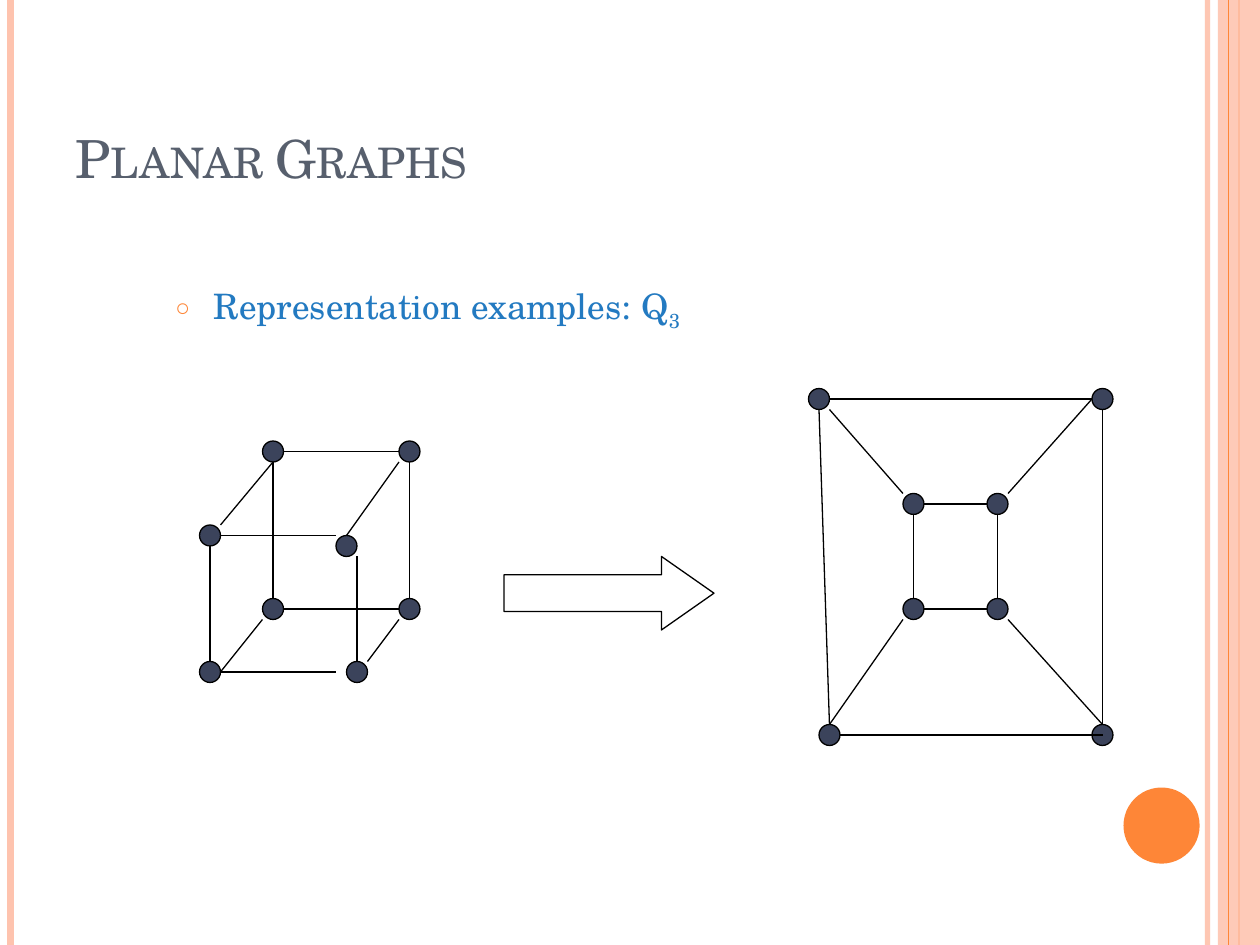
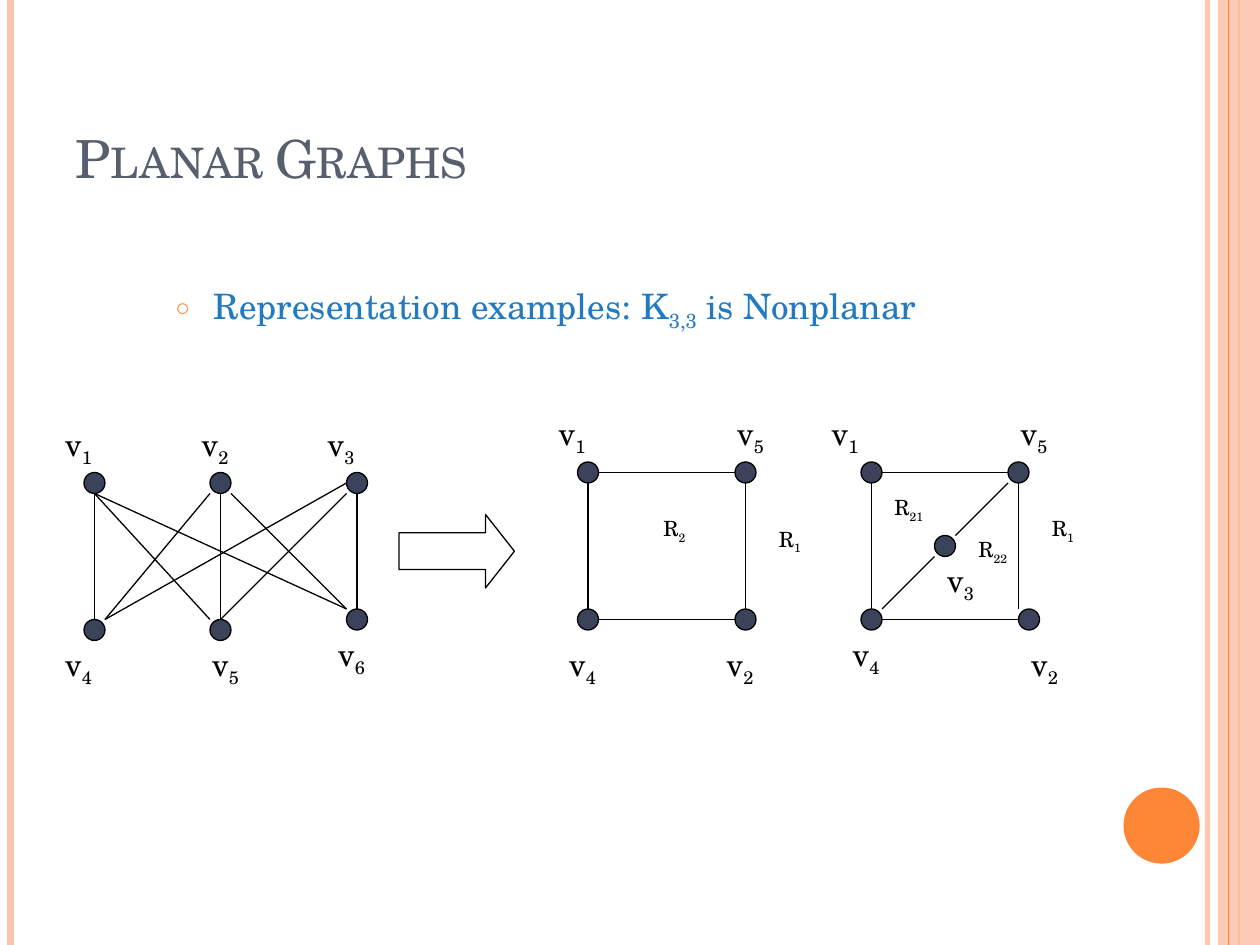
from dataclasses import dataclass

from lxml import etree
from pptx import Presentation
from pptx.dml.color import RGBColor
from pptx.enum.shapes import MSO_CONNECTOR, MSO_SHAPE
from pptx.enum.text import MSO_ANCHOR, MSO_AUTO_SIZE, PP_ALIGN
from pptx.oxml.ns import qn
from pptx.util import Emu, Pt

STRAIGHT = MSO_CONNECTOR.STRAIGHT
RECTANGLE, OVAL, ARROW = MSO_SHAPE.RECTANGLE, MSO_SHAPE.OVAL, MSO_SHAPE.RIGHT_ARROW
BOTTOM, MIDDLE, TOP = MSO_ANCHOR.BOTTOM, MSO_ANCHOR.MIDDLE, MSO_ANCHOR.TOP
LEFT, NO_FIT = PP_ALIGN.LEFT, MSO_AUTO_SIZE.NONE
EMU_PER_PX = 9525
PAGE_WIDTH, PAGE_HEIGHT = 960, 720
NODE = 16
LABEL_WIDTH, LABEL_HEIGHT = 32, 24
STEPS = {"n": (0, -1), "s": (0, 1), "w": (-1, 0), "e": (1, 0), "c": (0, 0)}


@dataclass(frozen=True)
class Theme:
    """Colours, font and type sizes of the deck."""
    font: str = "TeX Gyre Schola"
    title: str = "575F6D"
    body: str = "237AC1"
    accent: str = "FE8637"
    band: str = "FEC3AE"
    node: str = "3B435B"
    ink: str = "000000"
    paper: str = "FFFFFF"
    title_size: int = 30
    body_size: int = 20
    vertex_size: int = 18
    region_size: int = 12
    thin: float = 0.75


THEME = Theme()

CUBE = {
    "nodes": {"A": (48, 0), "B": (152, 0), "C": (0, 64), "D": (104, 72),
              "E": (48, 120), "F": (152, 120), "G": (0, 168), "H": (112, 168)},
    "edges": ["A e B w", "E e F w", "A s E n", "B s F n", "C e D nw", "G e H ww",
              "C s G n", "D se H n", "C ne A s", "D n B sw", "G e E sw", "H ne F sw"],
}
FLAT_CUBE = {
    "nodes": {"A": (0, 0), "B": (216, 0), "C": (72, 80), "D": (136, 80),
              "E": (72, 160), "F": (136, 160), "G": (8, 256), "H": (216, 256)},
    "edges": ["A se C nw", "D ne B w", "F se H n", "G n E sw", "C e D w", "E e F w",
              "C s E n", "D s F n", "A e B w", "A s G n", "G e H c", "B s H n"],
}
BIPARTITE = {
    "nodes": {"v1": (0, 0), "v2": (96, 0), "v3": (200, 0),
              "v4": (0, 112), "v5": (96, 112), "v6": (200, 104)},
    "edges": ["v1 s v4 n", "v1 s v5 nw", "v1 s v6 nw", "v2 sw v4 ne", "v2 s v5 n",
              "v2 se v6 nw", "v3 w v4 ne", "v3 sw v5 n", "v3 s v6 n"],
    "labels": [("v|1", -24, -32), ("v|2", 80, -32), ("v|3", 176, -32),
               ("v|4", -24, 136), ("v|5", 88, 136), ("v|6", 184, 128)],
}
SQUARE = {
    "nodes": {"v1": (0, 0), "v5": (120, 0), "v4": (0, 112), "v2": (120, 112)},
    "edges": ["v1 e v5 w", "v4 e v2 w", "v1 s v4 n", "v5 s v2 n"],
    "labels": [("v|1", -24, -32), ("v|5", 112, -32), ("v|4", -16, 144),
               ("v|2", 104, 144), ("R|1", 144, 48), ("R|2", 56, 40)],
}
SPLIT_SQUARE = {
    "nodes": {"v1": (0, 0), "v5": (112, 0), "v4": (0, 112), "v2": (120, 112),
              "v3": (56, 56)},
    "edges": ["v1 e v5 w", "v4 e v2 w", "v1 s v4 n", "v5 s v2 nw",
              "v4 ne v3 sw", "v3 ne v5 sw"],
    "labels": [("v|1", -32, -32), ("v|5", 112, -32), ("v|4", -16, 136),
               ("v|2", 120, 144), ("v|3", 56, 80), ("R|21", 16, 24),
               ("R|22", 80, 56), ("R|1", 136, 40)],
}


def px(*lengths):
    """Turn px lengths into EMU."""
    return [Emu(length * EMU_PER_PX) for length in lengths]


def apply(target, values):
    """Set each named attribute on the target."""
    for name, value in values.items():
        setattr(target, name, value)


def set_alpha(shape, percent):
    """Make the first colour of a shape or line partly transparent."""
    colour = next(shape.element.spPr.iter(qn("a:srgbClr")))
    etree.SubElement(colour, qn("a:alpha"), val=str(percent * 1000))


def add_line(page, start, end, colour=THEME.ink, width=THEME.thin):
    """Draw a straight line without shadow."""
    line = page.shapes.add_connector(STRAIGHT, *px(*start, *end))
    line.line.color.rgb = RGBColor.from_string(colour)
    line.line.width = Pt(width)
    etree.SubElement(line.element.spPr, qn("a:effectLst"))
    return line


def add_figure(page, kind, box, fill, outline=None):
    """Draw a flat preset shape."""
    shape = page.shapes.add_shape(kind, *px(*box))
    shape.shadow.inherit = False
    shape.fill.solid()
    shape.fill.fore_color.rgb = RGBColor.from_string(fill)
    if outline:
        shape.line.color.rgb = RGBColor.from_string(outline)
        shape.line.width = Pt(THEME.thin)
    else:
        shape.line.fill.background()
    return shape


def write(shape, text, size, colour, **frame_values):
    """Write text in which every second part between bars is a subscript."""
    frame = shape.text_frame
    apply(frame, frame_values)
    para = frame.paragraphs[0]
    para.alignment = LEFT
    for index, part in enumerate(text.split("|")):
        span = para.add_run()
        span.text = part
        apply(span.font, {"name": THEME.font, "size": Pt(size), "bold": False})
        span.font.color.rgb = RGBColor.from_string(colour)
        if index % 2:
            span.font._element.set("baseline", "-25000")
    return para


def place(shape, box):
    """Move a placeholder to the given box."""
    apply(shape, dict(zip(("left", "top", "width", "height"), px(*box))))


def add_bands(page, layout):
    """Draw the side bands and the disc and hand them to the layout."""
    def stripe(x, colour, width):
        return add_line(page, (x, 0), (x, PAGE_HEIGHT), colour, width)

    right = stripe(920, THEME.band, 3)
    set_alpha(right, 93)
    left = stripe(8, THEME.band, 4.5)
    inner = stripe(944, THEME.accent, 1.5)
    band = add_figure(page, RECTANGLE, (928, 0, 32, PAGE_HEIGHT), THEME.band)
    set_alpha(band, 87)
    edge = stripe(936, THEME.accent, 0.75)
    disc = add_figure(page, OVAL, (856, 600, 58, 58), THEME.accent)
    for part in (right, left, inner, band, edge, disc):
        layout.shapes.element.append(part.element)


def add_title(page, box, text):
    """Fill the title placeholder in small capitals."""
    title = page.shapes.title
    place(title, box)
    para = write(title, text, THEME.title_size, THEME.title,
                 vertical_anchor=BOTTOM, word_wrap=True, auto_size=NO_FIT)
    para.runs[0].font._element.set("cap", "small")


def add_bullet(page, box, text):
    """Fill the body placeholder with one bulleted line."""
    body = page.placeholders[1]
    place(body, box)
    para = write(body, text, THEME.body_size, THEME.body,
                 vertical_anchor=TOP, word_wrap=True, auto_size=NO_FIT)
    para.space_before = Pt(6)
    props = para._p.get_or_add_pPr()
    indent = px(29)[0]
    props.set("marL", str(indent))
    props.set("indent", str(-indent))
    colour = etree.SubElement(props, qn("a:buClr"))
    etree.SubElement(colour, qn("a:srgbClr"), val=THEME.accent)
    etree.SubElement(props, qn("a:buSzPct"), val="70000")
    etree.SubElement(props, qn("a:buChar"), char="○")


def add_arrow(page, box, head):
    """Draw the hollow block arrow."""
    arrow = add_figure(page, ARROW, box, THEME.paper, THEME.ink)
    arrow.adjustments[0] = 0.5
    arrow.adjustments[1] = head


def add_label(page, x, y, text):
    """Name a vertex or a region."""
    box = (x, y, LABEL_WIDTH, LABEL_HEIGHT)
    label = add_figure(page, RECTANGLE, box, THEME.paper, THEME.paper)
    size = THEME.vertex_size if text.startswith("v") else THEME.region_size
    write(label, text, size, THEME.ink, vertical_anchor=MIDDLE, word_wrap=False)


def add_graph(page, left, top, graph):
    """Draw nodes, edges and labels relative to the graph's corner."""
    def anchor(name, side):
        x, y = graph["nodes"][name]
        half = NODE // 2
        return (left + x + half + half * sum(STEPS[step][0] for step in side),
                top + y + half + half * sum(STEPS[step][1] for step in side))

    for x, y in graph["nodes"].values():
        add_figure(page, OVAL, (left + x, top + y, NODE, NODE), THEME.node, THEME.ink)
    for edge in graph["edges"]:
        start, start_side, end, end_side = edge.split()
        add_line(page, anchor(start, start_side), anchor(end, end_side))
    for text, x, y in graph.get("labels", []):
        add_label(page, left + x, top + y, text)


def add_page(deck, layout, bullet):
    """Add a page with the shared title and its bulleted line."""
    page = deck.slides.add_slide(layout)
    add_title(page, (48, 29, 784, 120), "Planar Graphs")
    add_bullet(page, (124, 212, 816, 52), bullet)
    return page


def add_cube_page(deck, layout):
    """Show the cube and its planar drawing."""
    page = add_page(deck, layout, "Representation examples: Q|3")
    add_graph(page, 616, 296, FLAT_CUBE)
    add_graph(page, 152, 336, CUBE)
    add_arrow(page, (384, 424, 160, 56), 0.714)
    return page


def add_bipartite_page(deck, layout):
    """Show why the bipartite graph has no planar drawing."""
    page = add_page(deck, layout, "Representation examples: K|3,3| is Nonplanar")
    add_arrow(page, (304, 392, 88, 56), 0.393)
    add_graph(page, 64, 360, BIPARTITE)
    add_graph(page, 440, 352, SQUARE)
    add_graph(page, 656, 352, SPLIT_SQUARE)


def main():
    """Build and save the deck."""
    deck = Presentation()
    deck.slide_width, deck.slide_height = px(PAGE_WIDTH, PAGE_HEIGHT)
    layout = deck.slide_layouts[1]
    first = add_cube_page(deck, layout)
    add_bands(first, layout)
    add_bipartite_page(deck, layout)
    deck.save("out.pptx")


if __name__ == "__main__":
    main()
